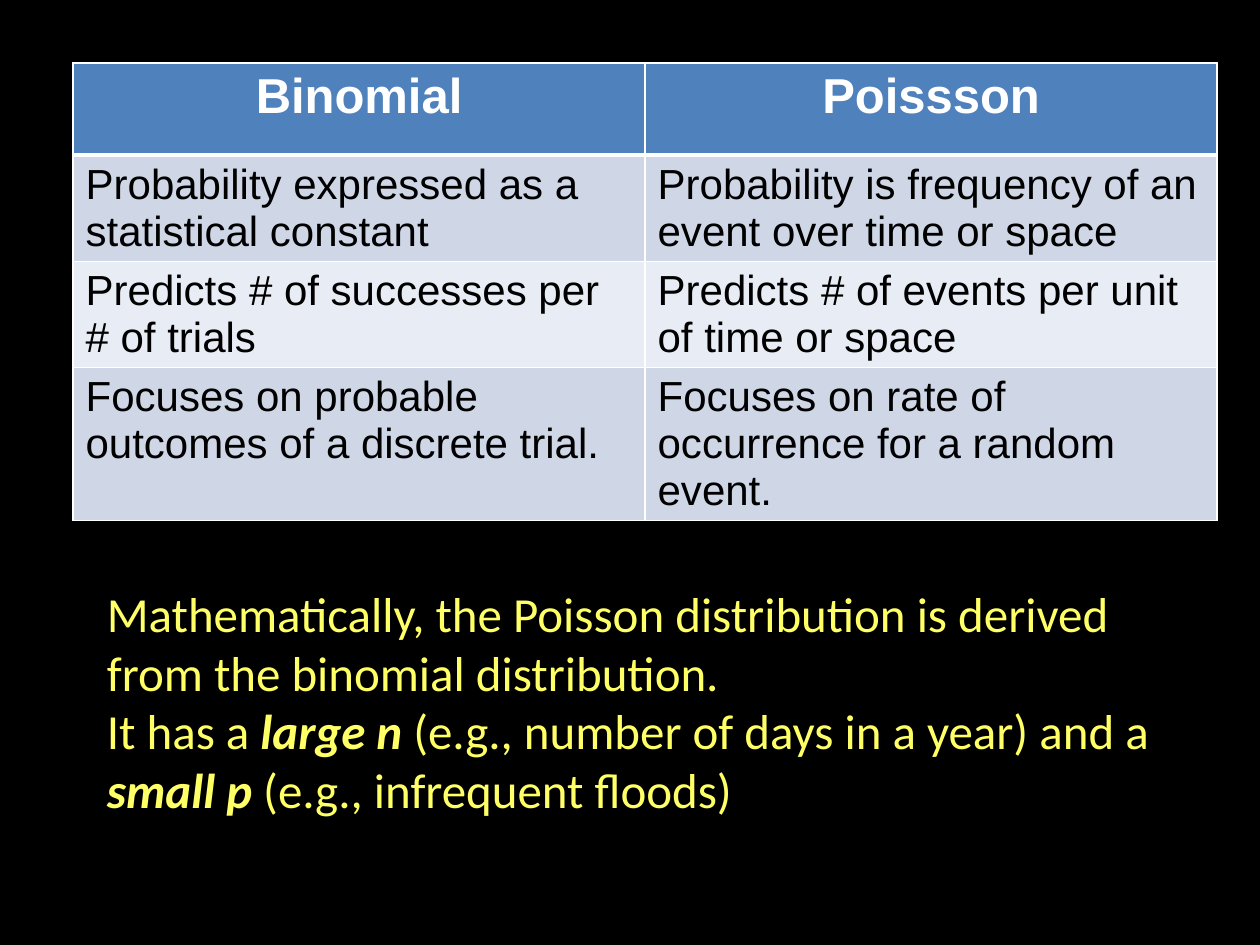
from dataclasses import dataclass

from lxml.etree import SubElement
from pptx import Presentation
from pptx.dml.color import RGBColor
from pptx.enum.text import PP_ALIGN
from pptx.oxml.ns import qn
from pptx.util import Inches, Pt

COLORS = {
    "background": "000000",
    "header": "4F81BD",
    "odd_row": "CFD7E7",
    "even_row": "E8ECF4",
    "border": "FFFFFF",
    "header_text": "FFFFFF",
    "body_text": "000000",
    "remark": "FFFF66",
}
COLUMN_WIDTH, ROW_HEIGHT = 4.54, 0.73


@dataclass(frozen=True)
class Comparison:
    binomial: str
    poisson: str


@dataclass(frozen=True)
class Span:
    text: str
    emphasis: bool = False


COMPARISONS = [
    Comparison("Binomial", "Poissson"),
    Comparison("Probability expressed as a statistical constant",
               "Probability is frequency of an event over time or space"),
    Comparison("Predicts # of successes per # of trials",
               "Predicts # of events per unit of time or space"),
    Comparison("Focuses on probable outcomes of a discrete trial.",
               "Focuses on rate of occurrence for a random event."),
]
REMARKS = [
    [Span("Mathematically, the Poisson distribution is derived "
          "from the binomial distribution.")],
    [Span("It has a "), Span("large n", True),
     Span(" (e.g., number of days in a year) and a "),
     Span("small p", True), Span(" (e.g., infrequent floods)")],
]


def rgb(name: str) -> RGBColor:
    return RGBColor.from_string(COLORS[name])


def add_text(paragraph, text: str, *, font: str, size: float, color: str,
             bold: bool = False, italic: bool = False) -> None:
    run = paragraph.add_run()
    run.text = text
    run.font.name = font
    run.font.size = Pt(size)
    run.font.color.rgb = rgb(color)
    run.font.bold = bold
    run.font.italic = italic


def set_borders(cell, top: float, bottom: float) -> None:
    """Draw all four edges; call before filling, as the schema puts lines first."""
    properties = cell._tc.get_or_add_tcPr()
    for edge, width in (("L", 1), ("R", 1), ("T", top), ("B", bottom)):
        line = SubElement(properties, qn(f"a:ln{edge}"), w=str(Pt(width)))
        solid = SubElement(line, qn("a:solidFill"))
        SubElement(solid, qn("a:srgbClr"), val=COLORS["border"])


def add_comparison_table(slide, left: float, top: float) -> None:
    row_count = len(COMPARISONS)
    table = slide.shapes.add_table(
        row_count, 2, Inches(left), Inches(top),
        Inches(2 * COLUMN_WIDTH), Inches(row_count * ROW_HEIGHT)).table
    for row_index, comparison in enumerate(COMPARISONS):
        is_header = row_index == 0
        table.rows[row_index].height = Inches(ROW_HEIGHT)
        row_fill = "header" if is_header else "odd_row" if row_index % 2 else "even_row"
        for column, wording in enumerate((comparison.binomial, comparison.poisson)):
            cell = table.cell(row_index, column)
            set_borders(cell, top=3 if row_index == 1 else 1, bottom=3 if is_header else 1)
            cell.fill.solid()
            cell.fill.fore_color.rgb = rgb(row_fill)
            paragraph = cell.text_frame.paragraphs[0]
            paragraph.alignment = PP_ALIGN.CENTER if is_header else PP_ALIGN.LEFT
            add_text(paragraph, wording, font="Arial", size=28 if is_header else 24,
                     color="header_text" if is_header else "body_text", bold=is_header)


def add_remarks(slide, left: float, top: float, width: float, height: float) -> None:
    frame = slide.shapes.add_textbox(
        Inches(left), Inches(top), Inches(width), Inches(height)).text_frame
    frame.word_wrap = True
    for index, spans in enumerate(REMARKS):
        paragraph = frame.add_paragraph() if index else frame.paragraphs[0]
        for span in spans:
            add_text(paragraph, span.text, font="Calibri", size=28, color="remark",
                     bold=span.emphasis, italic=span.emphasis)


def main() -> None:
    presentation = Presentation()
    presentation.slide_width, presentation.slide_height = Inches(10), Inches(7.5)
    slide = presentation.slides.add_slide(presentation.slide_layouts[6])
    slide.background.fill.solid()
    slide.background.fill.fore_color.rgb = rgb("background")
    add_comparison_table(slide, left=0.58, top=0.5)
    add_remarks(slide, left=0.75, top=4.58, width=8.83, height=1.99)
    presentation.save("out.pptx")


if __name__ == "__main__":
    main()
